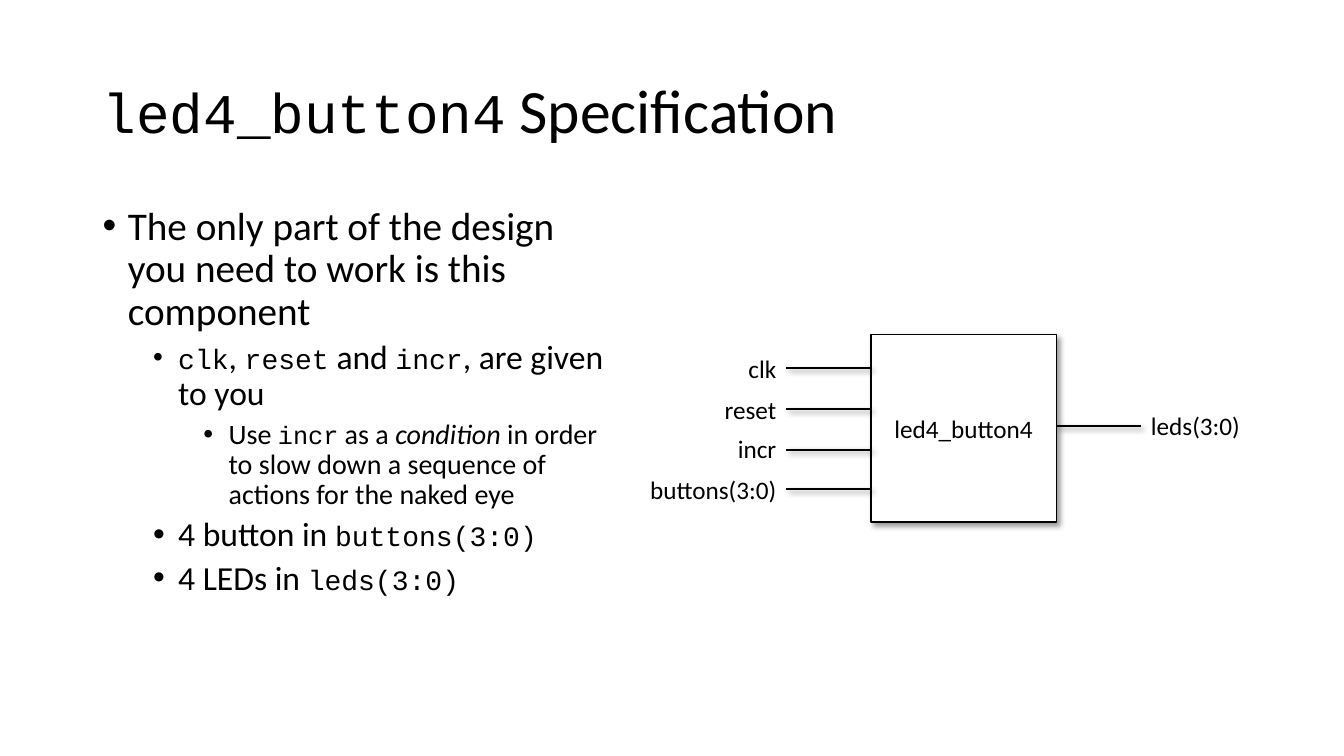
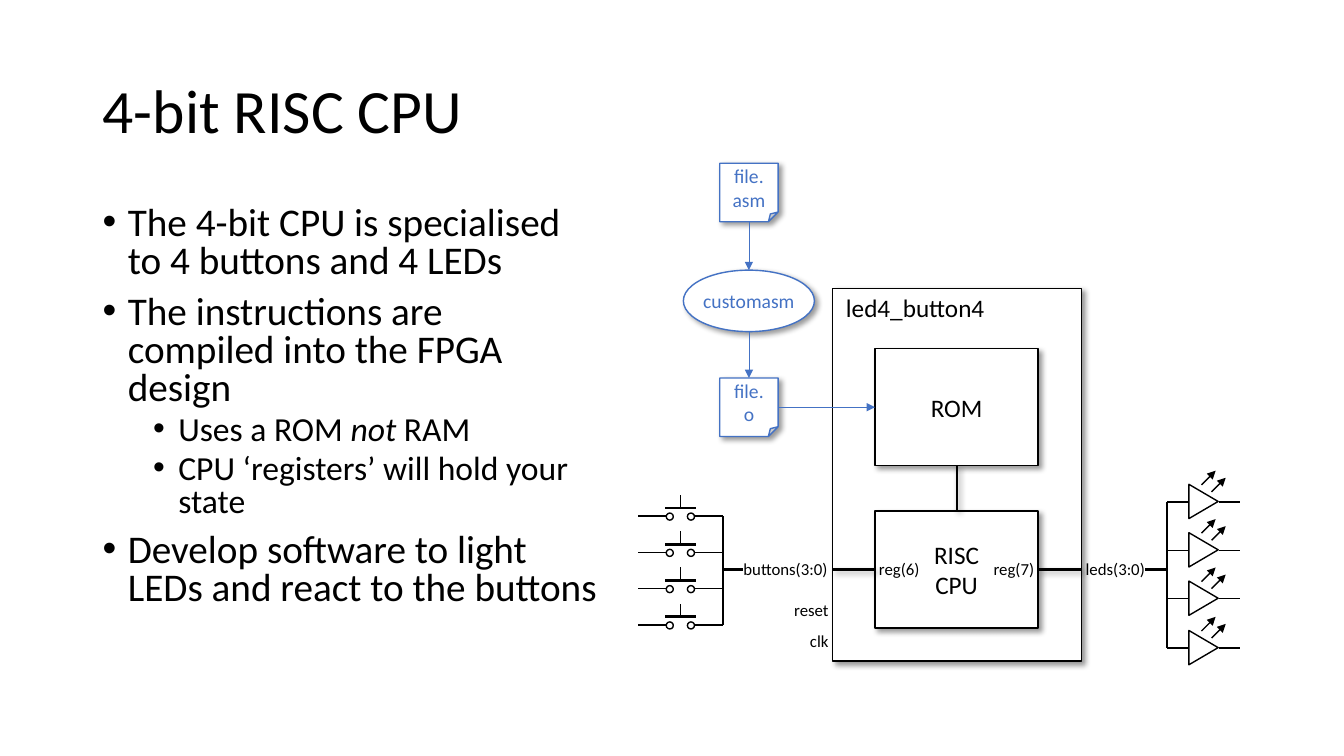
import lxml.etree
import pptx
import pptx.dml.color
import pptx.enum.shapes
import pptx.enum.text
import pptx.oxml.ns
import pptx.util

BLACK = pptx.dml.color.RGBColor(0x00, 0x00, 0x00)
WHITE = pptx.dml.color.RGBColor(0xFF, 0xFF, 0xFF)
BLUE = pptx.dml.color.RGBColor(0x44, 0x72, 0xC4)

SHAPE = pptx.enum.shapes.MSO_SHAPE
ALIGN = pptx.enum.text.PP_ALIGN
ANCHOR = pptx.enum.text.MSO_ANCHOR
TOP, LEFT, BOTTOM, RIGHT = range(4)

TEXT_FONT, CODE_FONT = "Calibri", "Courier New"
TITLE_SIZE = 44
BULLET_SIZES = (28, 24, 20)
CODE_SIZES = {44: 40, 24: 20, 20: 18}
SMALL = {"size": 12, "height": 20, "inset": (4, 0)}


def px(length):
    """Turn px (100 to the inch) into EMU."""
    return pptx.util.Emu(length * 9144)


def add_xml(parent, tag, **attributes):
    return lxml.etree.SubElement(parent, pptx.oxml.ns.qn(tag), attributes)


class Deck:
    """Holds the shared style and the slide being drawn."""

    def __init__(self):
        self.presentation = pptx.Presentation()
        self.presentation.slide_height = px(750)
        self.presentation.slide_width = px(750) * 16 // 9
        self.slide = None

    # Text
    def style_run(self, run, size, color=BLACK, font=TEXT_FONT):
        run.font.size = pptx.util.Pt(size)
        run.font.name = font
        run.font.color.rgb = color

    def write_marked(self, paragraph, text, size):
        """Write text in which `code` and *italic* parts are marked."""
        for code_index, chunk in enumerate(text.split("`")):
            is_code = code_index % 2 == 1
            for italic_index, piece in enumerate(chunk.split("*")):
                if not piece:
                    continue
                run = paragraph.add_run()
                run.text = piece
                if is_code:
                    self.style_run(run, CODE_SIZES[size], font=CODE_FONT)
                else:
                    self.style_run(run, size)
                run.font.italic = italic_index % 2 == 1

    def write_plain(self, frame, text, size, color, align, inset):
        frame.word_wrap = True
        frame.margin_left = frame.margin_right = px(inset[0])
        frame.margin_top = frame.margin_bottom = px(inset[1])
        frame.text = text
        for paragraph in frame.paragraphs:
            paragraph.alignment = align
            for run in paragraph.runs:
                self.style_run(run, size, color)

    def start_slide(self, title):
        layout = self.presentation.slide_layouts.get_by_name("Title Only")
        self.slide = self.presentation.slides.add_slide(layout)
        shape = self.slide.shapes.title
        shape.left, shape.top, shape.width, shape.height = map(px, (92, 40, 1150, 145))
        frame = shape.text_frame
        frame.auto_size = pptx.enum.text.MSO_AUTO_SIZE.NONE
        frame.vertical_anchor = ANCHOR.MIDDLE
        paragraph = frame.paragraphs[0]
        paragraph.alignment = ALIGN.LEFT
        paragraph.line_spacing = 0.9
        self.write_marked(paragraph, title, TITLE_SIZE)

    def bullets(self, items, width, line_spacing):
        shape = self.slide.shapes.add_textbox(px(92), px(200), px(width), px(476))
        frame = shape.text_frame
        frame.word_wrap = True
        for index, (level, text) in enumerate(items):
            paragraph = frame.add_paragraph() if index else frame.paragraphs[0]
            paragraph.level = level
            paragraph.line_spacing = line_spacing
            paragraph.space_before = pptx.util.Pt(5 if level else 10)
            properties = paragraph._p.get_or_add_pPr()
            properties.set("marL", str(px(25 + 50 * level)))
            properties.set("indent", str(px(-25)))
            add_xml(properties, "a:buFont", typeface="Arial")
            add_xml(properties, "a:buChar", char="•")
            self.write_marked(paragraph, text, BULLET_SIZES[level])

    def label(self, text, left, top, width, align=ALIGN.LEFT, size=18,
              height=40, inset=(10, 5)):
        shape = self.slide.shapes.add_textbox(px(left), px(top), px(width), px(height))
        self.write_plain(shape.text_frame, text, size, BLACK, align, inset)

    # Shapes and lines
    def add_shadow(self, effects):
        shadow = add_xml(effects, "a:outerShdw", blurRad=str(pptx.util.Pt(4)),
                         dist=str(pptx.util.Pt(3)), dir="2700000",
                         algn="tl", rotWithShape="0")
        color = add_xml(shadow, "a:srgbClr", val=str(BLACK))
        add_xml(color, "a:alpha", val="40000")

    def outline(self, kind, left, top, width, height, color=BLACK, shadow=False):
        shape = self.slide.shapes.add_shape(kind, px(left), px(top), px(width), px(height))
        shape.fill.solid()
        shape.fill.fore_color.rgb = WHITE
        shape.line.color.rgb = color
        shape.line.width = pptx.util.Pt(1)
        shape.shadow.inherit = False
        if shadow:
            self.add_shadow(shape._element.spPr.find(pptx.oxml.ns.qn("a:effectLst")))
        return shape

    def block(self, text, left, top, width, height, kind=SHAPE.RECTANGLE,
              color=BLACK, size=18, inset=(10, 5)):
        shape = self.outline(kind, left, top, width, height, color, shadow=True)
        shape.text_frame.vertical_anchor = ANCHOR.MIDDLE
        self.write_plain(shape.text_frame, text, size, color, ALIGN.CENTER, inset)
        return shape

    def line(self, start, end, width=1, color=BLACK, shadow=False, arrow=False):
        """Draw a line; each end is an (x, y) point or a (shape, side) joint."""
        points = [end_point if isinstance(end_point[0], int) else (0, 0)
                  for end_point in (start, end)]
        connector = self.slide.shapes.add_connector(
            pptx.enum.shapes.MSO_CONNECTOR.STRAIGHT,
            *(px(value) for point in points for value in point))
        if not isinstance(start[0], int):
            connector.begin_connect(*start)
        if not isinstance(end[0], int):
            connector.end_connect(*end)
        connector.line.color.rgb = color
        connector.line.width = pptx.util.Pt(width)
        if arrow:
            add_xml(connector.line._get_or_add_ln(), "a:tailEnd", type="triangle")
        effects = add_xml(connector._element.spPr, "a:effectLst")
        if shadow:
            self.add_shadow(effects)

    def wire(self, start, end):
        self.line(start, end, width=1.5, shadow=True)

    def flow(self, start, end):
        self.line(start, end, width=0.5, color=BLUE, arrow=True)

    # Circuit symbols, centred on the height y
    def push_button(self, y):
        self.line((633, y), (661, y))
        self.line((717, y), (689, y))
        for left in (661, 682):
            self.outline(SHAPE.OVAL, left, y - 3, 7, 7)
        self.line((660, y - 8), (690, y - 8), width=2)
        self.line((675, y - 9), (675, y - 21))

    def led(self, y):
        diode = self.outline(SHAPE.FLOWCHART_EXTRACT, 1177, y - 15, 34, 29)
        diode.rotation = 90
        self.line((1179, y), (1158, y))
        self.line((1209, y), (1230, y))
        for x, rise in ((1202, 10), (1192, 17)):
            self.line((x, y - rise), (x + 14, y - rise - 14), arrow=True)


def draw_specification(deck):
    deck.start_slide("`led4_button4` Specification")
    deck.bullets([
        (0, "The only part of the design you need to work is this component"),
        (1, "`clk`, `reset` and `incr`, are given to you"),
        (2, "Use `incr` as a *condition* in order to slow down a sequence of "
            "actions for the naked eye"),
        (1, "4 button in `buttons(3:0)`"),
        (1, "4 LEDs in `leds(3:0)`"),
    ], width=534, line_spacing=0.9)

    # Component with its inputs and output
    deck.block("led4_button4", 864, 332, 184, 186)
    for name, wire_y, label_top in (("clk", 365, 346), ("reset", 406, 386),
                                    ("incr", 446, 425), ("buttons(3:0)", 485, 466)):
        deck.label(name, 630, label_top, 150, ALIGN.RIGHT)
        deck.wire((864, wire_y), (780, wire_y))
    deck.label("leds(3:0)", 1132, 402, 120)
    deck.wire((1132, 423), (1048, 423))


def draw_cpu(deck):
    deck.start_slide("4-bit RISC CPU")
    deck.bullets([
        (0, "The 4-bit CPU is specialised to 4 buttons and 4 LEDs"),
        (0, "The instructions are compiled into the FPGA design"),
        (1, "Uses a ROM *not* RAM"),
        (1, "CPU ‘registers’ will hold your state"),
        (0, "Develop software to light LEDs and react to the buttons"),
    ], width=511, line_spacing=0.8)

    # Component with ROM and CPU
    bus_y = 565
    deck.outline(SHAPE.RECTANGLE, 826, 286, 247, 370, shadow=True)
    deck.label("led4_button4", 826, 285, 164, ALIGN.CENTER)
    rom = deck.block("ROM", 868, 346, 162, 116)
    cpu = deck.block("RISC\nCPU", 868, 507, 162, 116)
    for name, right, top in (("buttons(3:0)", 825, 554), ("reset", 826, 595),
                             ("clk", 826, 626), ("reg(7)", 1030, 554)):
        deck.label(name, right - 94, top, 94, ALIGN.RIGHT, **SMALL)
    deck.label("leds(3:0)", 1073, 554, 72, **SMALL)
    deck.label("reg(6)", 868, 554, 52, **SMALL)
    deck.wire((826, bus_y), (cpu, LEFT))
    deck.wire((cpu, RIGHT), (1072, bus_y))
    deck.wire((rom, BOTTOM), (cpu, TOP))

    # Assembler tool flow
    assembler = deck.block("customasm", 678, 268, 130, 61, SHAPE.OVAL, BLUE, 14, (0, 0))
    source, binary = (
        deck.block(name, 714, top, 58, 58, SHAPE.FOLDED_CORNER, BLUE, 14)
        for name, top in (("file.\nasm", 162), ("file.o", 375)))
    deck.flow((source, BOTTOM), (assembler, TOP))
    deck.flow((743, 329), (binary, TOP))
    deck.flow((binary, RIGHT), (rom, LEFT))

    # Buttons and LEDs on their rails
    for index in range(4):
        deck.push_button(512 + 36 * index)
        deck.led(498 + 145 * index // 3)
    deck.line((717, 512), (717, 620), width=1.5)
    deck.line((737, bus_y), (717, bus_y), width=1.5)
    deck.line((1158, 498), (1158, 643), width=1.5)
    deck.line((1136, bus_y), (1158, bus_y), width=1.5)


def main():
    deck = Deck()
    draw_specification(deck)
    draw_cpu(deck)
    deck.presentation.save("out.pptx")


if __name__ == "__main__":
    main()
